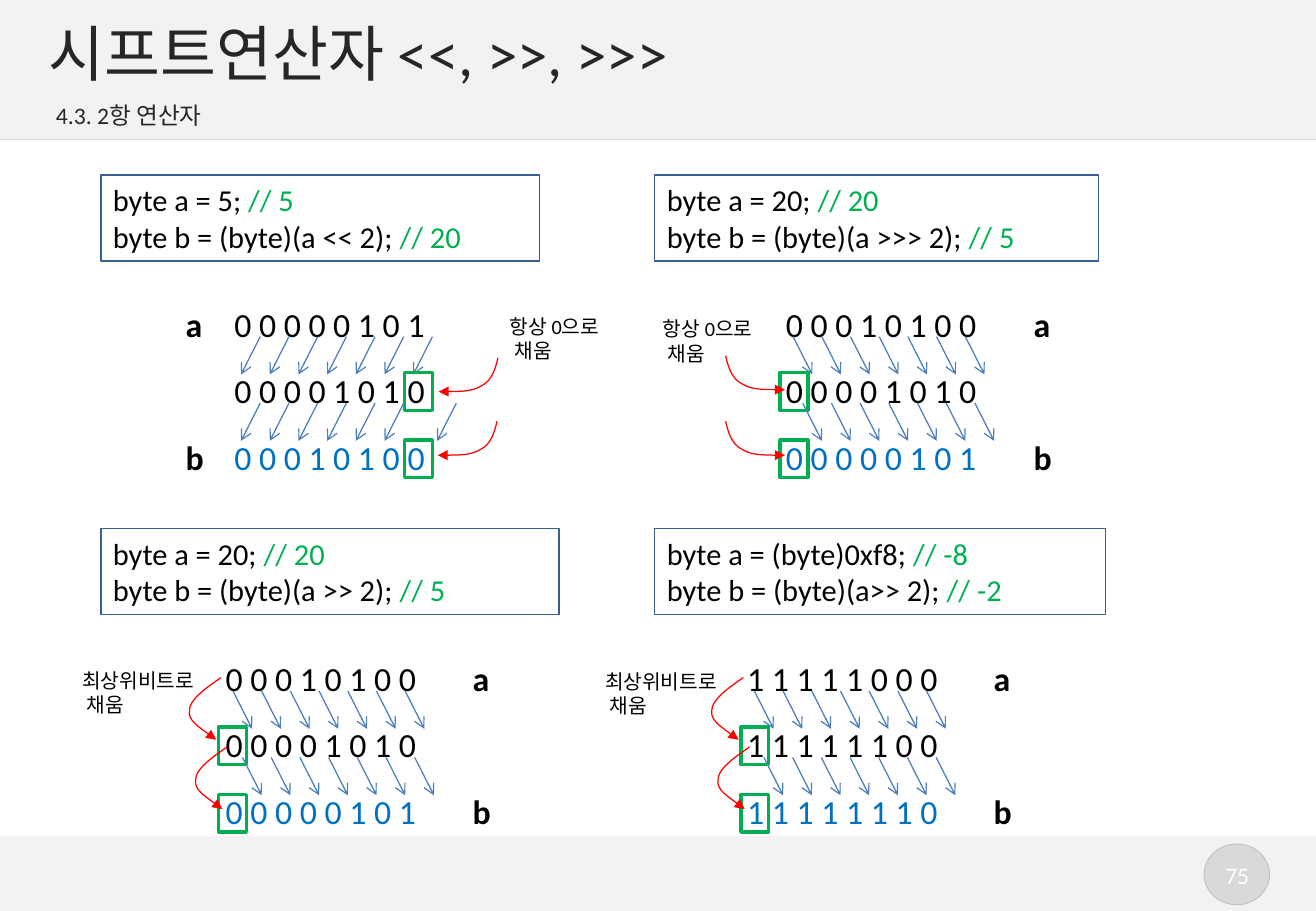
from lxml.etree import SubElement
from pptx import Presentation
from pptx.dml.color import RGBColor
from pptx.enum.shapes import MSO_CONNECTOR as Connector, MSO_SHAPE as Shape
from pptx.enum.text import MSO_ANCHOR as Anchor, PP_ALIGN as Align
from pptx.oxml.ns import qn
from pptx.util import Cm, Pt

rgb = RGBColor.from_string
GREEN = "00B050"
BLACK = "000000"


def write(frame, lines, size, color=BLACK, bold=False, align=Align.LEFT):
    """Fill a text frame; a // comment within a line turns green."""
    for number, line in enumerate(lines):
        para = frame.add_paragraph() if number else frame.paragraphs[0]
        para.alignment = align
        code, slashes, comment = line.partition("//")
        for text, hue in ((code, color), (slashes + comment, GREEN)):
            if text:
                span = para.add_run()
                span.text = text
                formats = {"name": "Calibri", "size": Pt(size), "bold": bold}
                for name, value in formats.items():
                    setattr(span.font, name, value)
                span.font.color.rgb = rgb(hue)


def outline(item, color, width, fill=None, arrow=None):
    """Set line, fill and arrowhead, and drop the shadow."""
    item.line.color.rgb = rgb(color)
    item.line.width = Pt(width)
    if arrow:
        SubElement(item.line._get_or_add_ln(), qn("a:tailEnd"), type=arrow)
    if hasattr(item, "fill"):
        item.shadow.inherit = False
        if fill:
            item.fill.solid()
            item.fill.fore_color.rgb = rgb(fill)
        else:
            item.fill.background()
    else:
        SubElement(item._element.spPr, qn("a:effectLst"))


deck = Presentation()
deck.slide_width, deck.slide_height = Cm(27.51), Cm(19.05)
page = deck.slides.add_slide(deck.slide_layouts[5])
shapes = page.shapes

# Header and footer bands
for top, height in ((17.48, 1.57), (0, 2.92)):
    band = shapes.add_shape(Shape.RECTANGLE, 0, Cm(top), deck.slide_width, Cm(height))
    outline(band, "F2F2F2", 0.75, fill="F2F2F2")
    band.line.fill.background()
rule = shapes.add_connector(Connector.STRAIGHT, 0, Cm(2.92), deck.slide_width, Cm(2.92))
outline(rule, "D9D9D9", 0.75)

# Page number
badge = shapes.add_shape(Shape.OVAL, Cm(25.17), Cm(17.65), Cm(1.37), Cm(1.27))
outline(badge, "BFBFBF", 0.5, fill="D9D9D9")
box = shapes.add_textbox(Cm(25.32), Cm(17.88), Cm(1.09), Cm(0.86))
box.text_frame.word_wrap = False
write(box.text_frame, ["75"], 14, "FFFFFF", align=Align.CENTER)

# Title, raised above the header band, and section line
title = shapes.title
shapes._spTree.append(title._element)
title.left, title.top, title.width, title.height = Cm(1.02), Cm(0.33), Cm(25.53), Cm(1.52)
frame = title.text_frame
frame.vertical_anchor = Anchor.MIDDLE
for side in ("left", "top", "right", "bottom"):
    setattr(frame, f"margin_{side}", 0)
write(frame, ["시프트연산자 <<, >>, >>>"], 36, "262626")
section = shapes.add_textbox(Cm(0.97), Cm(1.98), Cm(25.58), Cm(0.86))
section.text_frame.word_wrap = True
section.text_frame.margin_left = Cm(0.2)
write(section.text_frame, ["4.3. 2항 연산자"], 14, "262626")

# Fill arrows: control points from the start, in cm
HOOK = [(-0.05, 0.23), (-0.13, 0.48), (-0.33, 0.58),
        (-0.53, 0.71), (-0.89, 0.71), (-1.24, 0.71)]
MIRRORED_HOOK = [(-x, y) for x, y in HOOK]
LOOP = [(-0.33, 0.23), (-0.66, 0.46), (-0.66, 0.69),
        (-0.69, 0.89), (-0.38, 1.09), (-0.1, 1.3)]
ZERO_NOTE = ["항상 0으로", " 채움"]
SIGN_NOTE = ["최상위비트로", " 채움"]

panels = [
    dict(code=["byte a = 5; // 5", "byte b = (byte)(a << 2); // 20"],
         code_at=(2.11, 3.66, 9.17), bits=["00000101", "00001010", "00010100"],
         bits_at=(4.65, 6.22), label_x=3.63, mark_x=8.46, left_shift=True,
         note=ZERO_NOTE, note_at=(10.41, 6.45, 2.62),
         curve=HOOK, start=(10.41, 7.48), step=(-0.02, 1.33)),
    dict(code=["byte a = 20; // 20", "byte b = (byte)(a >>> 2); // 5"],
         code_at=(13.69, 3.66, 9.27), bits=["00010100", "00001010", "00000101"],
         bits_at=(16.18, 6.22), label_x=21.36, mark_x=16.31, left_shift=False,
         note=ZERO_NOTE, note_at=(13.61, 6.5, 2.62),
         curve=MIRRORED_HOOK, start=(15.17, 7.44), step=(0, 1.37)),
    dict(code=["byte a = 20; // 20", "byte b = (byte)(a >> 2); // 5"],
         code_at=(2.11, 11.05, 9.58), bits=["00010100", "00001010", "00000101"],
         bits_at=(4.47, 13.63), label_x=9.63, mark_x=4.57, left_shift=False,
         note=SIGN_NOTE, note_at=(1.47, 13.84, 3.07),
         curve=LOOP, start=(4.62, 14.17), step=(0.13, 1.45)),
    dict(code=["byte a = (byte)0xf8; // -8", "byte b = (byte)(a>> 2); // -2"],
         code_at=(13.69, 11.05, 9.42), bits=["11111000", "11111100", "11111110"],
         bits_at=(15.37, 13.63), label_x=20.52, mark_x=15.49, left_shift=False,
         note=SIGN_NOTE, note_at=(12.4, 13.87, 3.07),
         curve=LOOP, start=(15.54, 14.17), step=(0.13, 1.45)),
]
ROW_STEP = 1.39
BIT_STEP = 0.6

for panel in panels:
    bits_x, bits_y = panel["bits_at"]
    left_shift = panel["left_shift"]

    # Code box
    left, top, width = panel["code_at"]
    code_box = shapes.add_shape(Shape.RECTANGLE, Cm(left), Cm(top), Cm(width), Cm(1.8))
    outline(code_box, "376092", 0.75)
    write(code_box.text_frame, panel["code"], 18)

    # Bit rows, row labels and note
    texts = []
    for row, bits in enumerate(panel["bits"]):
        color = "0070C0" if row == 2 else BLACK
        texts.append((bits_x, bits_y + row * ROW_STEP, 5.03, 1.12,
                      [" ".join(bits)], 20, color, False))
    for row, name in ((0, "a"), (2, "b")):
        texts.append((panel["label_x"], bits_y + row * ROW_STEP, 0.9, 1.12,
                      [name], 20, BLACK, True))
    texts.append((*panel["note_at"], 1.27, panel["note"], 12, BLACK, False))
    for left, top, width, height, lines, size, color, bold in texts:
        box = shapes.add_textbox(Cm(left), Cm(top), Cm(width), Cm(height))
        box.text_frame.word_wrap = False
        write(box.text_frame, lines, size, color, bold)

    for row in range(2):
        # Shift arrows
        first = bits_x + (0.79 if left_shift else 0.4 + 0.2 * row)
        top = bits_y + 0.82 + row * ROW_STEP
        for bit in range(7):
            x = first + bit * BIT_STEP
            if left_shift and row == 1 and bit == 6:
                x += 0.5
            tip = x - 0.4 if left_shift else x + 0.4
            arrow = shapes.add_connector(Connector.STRAIGHT, Cm(x), Cm(top),
                                         Cm(tip), Cm(top + 0.79))
            outline(arrow, "4B7EBC", 0.75, arrow="arrow")

        # Frame around the bit filled in
        mark = shapes.add_shape(Shape.RECTANGLE, Cm(panel["mark_x"]),
                                Cm(bits_y + 1.57 + 1.41 * row), Cm(0.58), Cm(0.79))
        outline(mark, GREEN, 2)

        # Curved fill arrow: each three points become one Bézier segment
        x, y = (a + row * b for a, b in zip(panel["start"], panel["step"]))
        builder = shapes.build_freeform(Cm(x), Cm(y))
        builder.add_line_segments([(Cm(x + dx), Cm(y + dy)) for dx, dy in panel["curve"]],
                                  close=False)
        curve = builder.convert_to_shape()
        corners = list(curve._element.iter(qn("a:lnTo")))
        for start in (0, 3):
            segment = SubElement(corners[0].getparent(), qn("a:cubicBezTo"))
            for corner in corners[start:start + 3]:
                segment.append(corner[0])
        for corner in corners:
            corner.getparent().remove(corner)
        outline(curve, "FF0000", 0.75, arrow="triangle")

deck.save("out.pptx")
